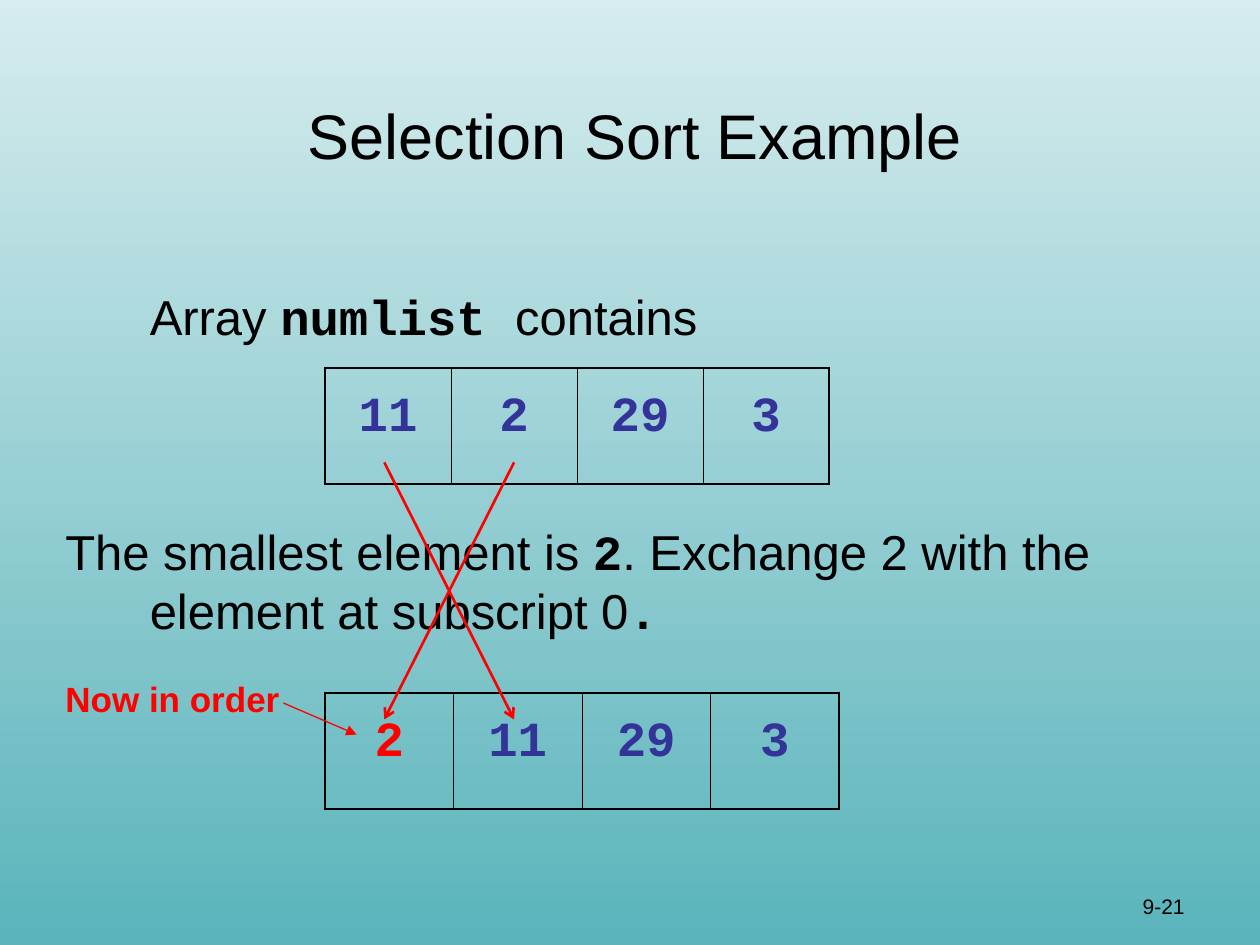
from lxml.etree import Element, SubElement as Sub
from pptx import Presentation
from pptx.dml.color import RGBColor
from pptx.enum.shapes import MSO_CONNECTOR as Conn
from pptx.enum.text import MSO_ANCHOR as Anchor, MSO_AUTO_SIZE as Auto, PP_ALIGN as Align
from pptx.oxml.ns import qn
from pptx.util import Inches, Pt

BLACK, RED, BLUE = "000000", "FF0000", "333399"
SANS = {"name": "Arial", "size": Pt(28), "bold": False}
CODE = {"name": "Courier New", "size": Pt(28), "bold": True}
THIN, THICK = 0.45, 1.08


def rgb(code):
    return RGBColor.from_string(code)


def put(obj, vals):
    for key, val in vals.items():
        setattr(obj, key, val)


def place(shape, left, top, width, height):
    put(shape, {"left": Inches(left), "top": Inches(top),
                "width": Inches(width), "height": Inches(height)})


def write(para, runs, color=BLACK, **form):
    """Fill a paragraph with (text, font values) runs."""
    put(para, form)
    for text, font in runs:
        run = para.add_run()
        run.text = text
        put(run.font, font)
        run.font.color.rgb = rgb(color)


def add_text(slide, box, **frame):
    shape = slide.shapes.add_textbox(*map(Inches, box))
    put(shape.text_frame, {"word_wrap": True, **frame})
    return shape.text_frame


def add_border(cell, sides):
    """Draw cell borders from (tag, width in points) pairs."""
    props = cell._tc.get_or_add_tcPr()
    for i, (tag, width) in enumerate(sides):
        line = Element(qn("a:" + tag), w=str(Pt(width)))
        fill = Sub(line, qn("a:solidFill"))
        Sub(fill, qn("a:srgbClr"), val=BLACK)
        props.insert(i, line)


def add_array(slide, top, width, nums, colors):
    frame = slide.shapes.add_table(1, len(nums), Inches(2.58), Inches(top),
                                   Inches(width), Inches(0.92))
    table = frame.table
    put(table, {"first_row": False, "horz_banding": False})
    last = len(nums) - 1
    for i, (num, color) in enumerate(zip(nums, colors)):
        cell = table.cell(0, i)
        cell.fill.background()
        add_border(cell, [("lnL", THIN if i else THICK),
                          ("lnR", THIN if i < last else THICK),
                          ("lnT", THICK), ("lnB", THICK)])
        write(cell.text_frame.paragraphs[0], [(str(num), CODE)], color,
              alignment=Align.CENTER, line_spacing=1.3, space_before=Pt(7))


def add_arrow(slide, start, end, width, head):
    line = slide.shapes.add_connector(Conn.STRAIGHT, *map(Inches, start + end))
    line.line.color.rgb = rgb(RED)
    line.line.width = Pt(width)
    Sub(line.line._get_or_add_ln(), qn("a:tailEnd"), type=head)
    Sub(line._element.spPr, qn("a:effectLst"))


def add_title(slide):
    title = slide.shapes.title
    place(title, 0.33, 0.33, 9.42, 1.09)
    put(title.text_frame, {"vertical_anchor": Anchor.BOTTOM, "auto_size": Auto.NONE})
    write(title.text_frame.paragraphs[0],
          [("Selection Sort Example", {**SANS, "size": Pt(36)})],
          alignment=Align.CENTER)


def add_body(slide):
    frame = add_text(slide, (0.42, 2.17, 9.25, 4.5), margin_right=0)
    first, second = frame.paragraphs[0], frame.add_paragraph()
    for para in (first, second):
        props = para._p.get_or_add_pPr()
        props.set("marL", str(Inches(0.67)))
        props.set("indent", str(Inches(-0.67)))
    write(first, [("\t", {**SANS, "size": Pt(32)}), ("Array ", SANS),
                  ("numlist ", CODE), ("contains", SANS)], space_before=Pt(7))
    write(second, [("The smallest element is ", SANS), ("2", CODE),
                   (". Exchange 2 with the element at subscript 0", SANS),
                   (".", CODE)], space_before=Pt(100))


def main():
    prs = Presentation()
    put(prs, {"slide_width": Inches(10), "slide_height": Inches(7.5)})
    slide = prs.slides.add_slide(prs.slide_layouts[5])
    fill = slide.background.fill
    fill.gradient()
    fill.gradient_angle = 90
    for stop, color in zip(fill.gradient_stops, ("5AB4BB", "D6ECEE")):
        stop.color.rgb = rgb(color)

    add_title(slide)
    add_body(slide)
    page = add_text(slide, (7.42, 6.84, 2.08, 0.5), vertical_anchor=Anchor.BOTTOM)
    write(page.paragraphs[0], [("9-21", {**SANS, "size": Pt(12)})],
          alignment=Align.RIGHT)

    add_array(slide, 2.92, 4, (11, 2, 29, 3), [BLUE] * 4)
    add_array(slide, 5.5, 4.08, (2, 11, 29, 3), [RED] + [BLUE] * 3)

    note = add_text(slide, (0.42, 5.33, 2.08, 0.44))
    write(note.paragraphs[0],
          [("Now in order", {**SANS, "size": Pt(20), "bold": True})],
          RED, space_before=Pt(12.5))
    add_arrow(slide, (2.25, 5.58), (2.83, 5.83), 0.75, "triangle")
    for start, end in ((3.05, 4.08), (4.08, 3.05)):
        add_arrow(slide, (start, 3.67), (end, 5.71), 1.5, "arrow")
    prs.save("out.pptx")


if __name__ == "__main__":
    main()
